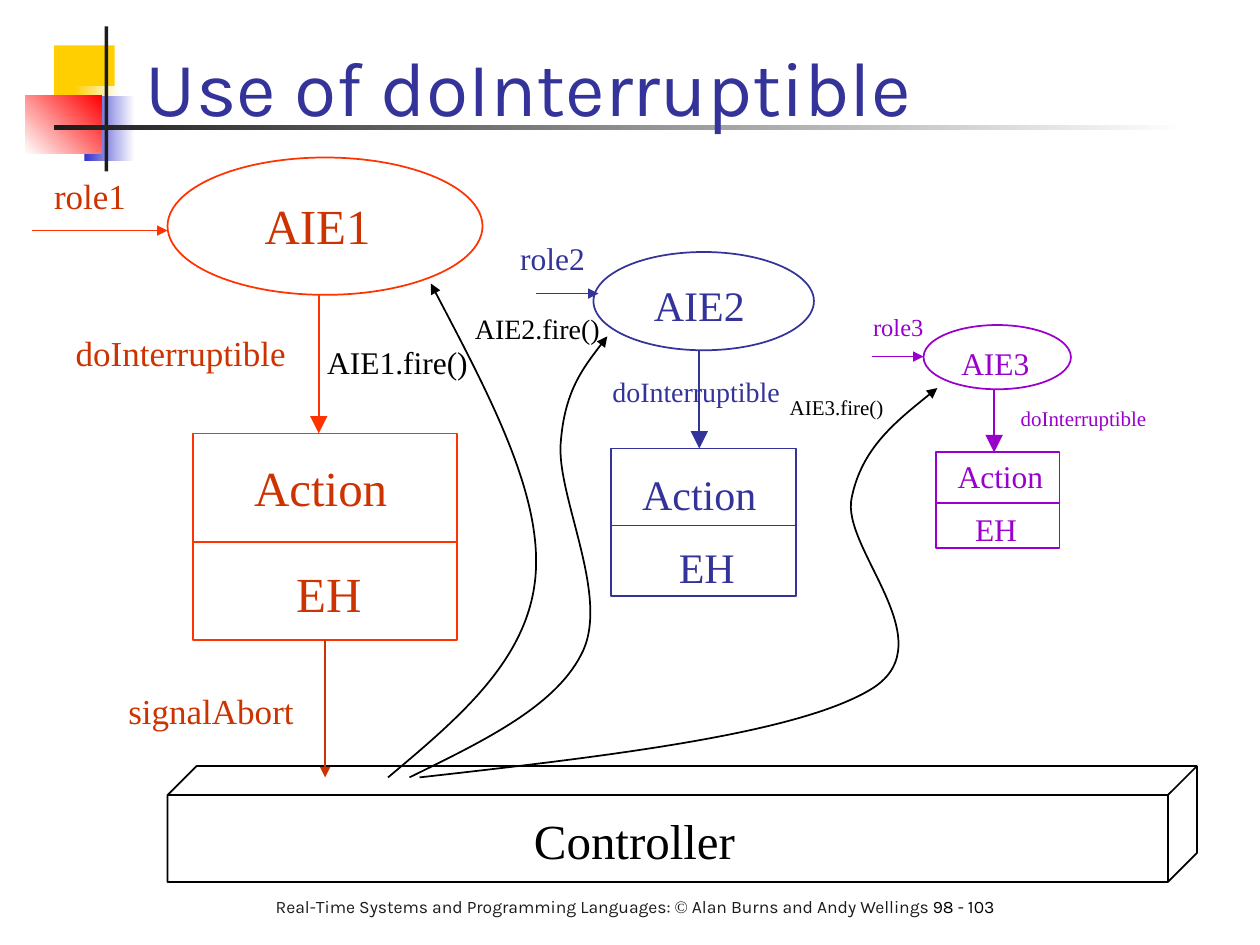
from lxml import etree
from pptx import Presentation
from pptx.dml.color import RGBColor
from pptx.enum.shapes import MSO_CONNECTOR, MSO_SHAPE
from pptx.enum.text import MSO_ANCHOR, MSO_AUTO_SIZE, PP_ALIGN
from pptx.oxml.ns import qn
from pptx.util import Inches, Pt

STRAIGHT = MSO_CONNECTOR.STRAIGHT
RECTANGLE, OVAL, CUBE = MSO_SHAPE.RECTANGLE, MSO_SHAPE.OVAL, MSO_SHAPE.CUBE
CENTER, LEFT = PP_ALIGN.CENTER, PP_ALIGN.LEFT
MIDDLE, TOP, BOTTOM = MSO_ANCHOR.MIDDLE, MSO_ANCHOR.TOP, MSO_ANCHOR.BOTTOM
FIT_SHAPE, NO_FIT = MSO_AUTO_SIZE.SHAPE_TO_FIT_TEXT, MSO_AUTO_SIZE.NONE

SERIF, SANS = "Times New Roman", "Karla"
BLACK, CHARCOAL, WHITE = "000000", "1C1C1C", "FFFFFF"
RED, ORANGE, NAVY, PURPLE = "CC3300", "FF3300", "333399", "9900CC"
LABEL_FORMAT = {"word_wrap": False, "auto_size": NO_FIT, "vertical_anchor": MIDDLE,
                "margin_left": 0, "margin_right": 0}
FOOTER_FORMAT = {"word_wrap": True, "auto_size": FIT_SHAPE, "vertical_anchor": TOP}
TITLE_FORMAT = {"word_wrap": True, "auto_size": NO_FIT, "vertical_anchor": BOTTOM}

DECOR = [
    ((0.43, 0.36, 0.48, 0.52), ["FFCF01"], 0),
    ((0.59, 0.68, 0.36, 0.52), ["FFCF01", WHITE], 0),
    ((0.67, 0.76, 0.4, 0.52), ["3333CC", WHITE], 0),
    ((0.2, 0.76, 0.61, 0.46), [WHITE, "FF0000"], 45),
    ((0.83, 0.21, 0.03, 1.15), [CHARCOAL], 0),
    ((0.43, 0.99, 9, 0.04), [CHARCOAL, WHITE], 0),
]

STATIONS = [
    {"line": ORANGE, "ink": RED, "ellipse": (1.33, 1.25, 2.5, 1.09),
     "box": (1.53, 3.44, 2.1, 1.64), "divider": 4.3, "call_x": 2.53,
     "role": (0.25, 1.33, 1.83),
     "labels": [("AIE1", (2, 1.5, 1.04, 0.57), 28),
                ("Action", (1.92, 3.58, 1.25, 0.57), 28),
                ("EH", (2.25, 4.42, 0.72, 0.57), 28),
                ("role1", (0.33, 1.33, 0.77, 0.44), 20),
                ("doInterruptible", (0.5, 2.58, 1.87, 0.44), 20)]},
    {"line": NAVY, "ink": NAVY, "ellipse": (4.71, 2, 1.75, 0.78),
     "box": (4.85, 3.56, 1.47, 1.17), "divider": 4.17, "call_x": 5.55,
     "role": (4.25, 4.75, 2.33),
     "labels": [("AIE2", (5.09, 2.17, 0.92, 0.5), 24),
                ("Action", (5, 3.67, 1.1, 0.5), 24),
                ("EH", (5.29, 4.25, 0.64, 0.5), 24),
                ("role2", (4.03, 1.85, 0.71, 0.4), 18),
                ("doInterruptible", (4.76, 2.92, 1.53, 0.37), 16)]},
    {"line": PURPLE, "ink": PURPLE, "ellipse": (7.33, 2.58, 1.17, 0.51),
     "box": (7.43, 3.59, 0.98, 0.76), "divider": 3.99, "call_x": 7.89,
     "role": (6.92, 7.33, 2.83),
     "labels": [("AIE3", (7.53, 2.68, 0.74, 0.4), 18),
                ("Action", (7.5, 3.58, 0.88, 0.4), 18),
                ("EH", (7.64, 4, 0.53, 0.4), 18),
                ("role3", (6.83, 2.42, 0.6, 0.34), 14),
                ("doInterruptible", (8, 3.17, 1.2, 0.3), 12)]},
]

FIRES = [
    [(3.08, 6.17), (3.64, 5.7), (4.19, 5.24), (4.25, 4.58),
     (4.31, 3.93), (3.86, 3.09), (3.42, 2.25)],
    [(3.25, 6.17), (3.84, 5.88), (4.43, 5.6), (4.63, 5.16), (4.83, 4.71),
     (4.42, 3.94), (4.45, 3.52), (4.48, 3.11), (4.65, 2.89), (4.82, 2.67)],
    [(3.33, 6.17), (4.85, 6), (6.36, 5.82), (6.93, 5.46), (7.5, 5.09),
     (6.67, 4.35), (6.76, 3.95), (6.84, 3.56), (7.14, 3.32), (7.44, 3.08)],
]
FIRE_LABELS = [
    ("AIE1.fire()", (2.5, 2.67, 1.31, 0.4), 18),
    ("AIE2.fire()", (3.67, 2.42, 1.19, 0.37), 16),
    ("AIE3.fire()", (6.17, 3.08, 0.94, 0.3), 12),
]


def rgb(hex_colour):
    """Return the colour for a hex string."""
    return RGBColor.from_string(hex_colour)


def inches(values):
    """Convert numbers to lengths."""
    return [Inches(value) for value in values]


def apply_format(target, values):
    """Set each named attribute on the target."""
    for name, value in values.items():
        setattr(target, name, value)


def style_line(item, colour, arrow=None):
    """Draw a one-point line, with an arrowhead of the given size at its end."""
    item.line.color.rgb = rgb(colour)
    item.line.width = Pt(1)
    if arrow:
        stroke = item._element.spPr.find(qn("a:ln"))
        etree.SubElement(stroke, qn("a:tailEnd"), type="triangle", w=arrow, len=arrow)


def add_decor(shapes, place, colours, angle):
    """Add a borderless block with a plain or graded fill."""
    block = shapes.add_shape(RECTANGLE, *inches(place))
    block.shadow.inherit = False
    block.line.fill.background()
    if len(colours) == 1:
        block.fill.solid()
        block.fill.fore_color.rgb = rgb(colours[0])
        return
    block.fill.gradient()
    block.fill.gradient_angle = angle
    for stop, colour in zip(block.fill.gradient_stops, colours):
        stop.color.rgb = rgb(colour)


def add_outline(shapes, kind, place, colour):
    """Add an unfilled preset shape."""
    outline = shapes.add_shape(kind, *inches(place))
    outline.shadow.inherit = False
    outline.fill.background()
    style_line(outline, colour)


def add_line(shapes, start, end, colour, arrow=None):
    """Add a straight line or arrow."""
    line = shapes.add_connector(STRAIGHT, *inches(start + end))
    style_line(line, colour, arrow)
    etree.SubElement(line._element.spPr, qn("a:effectLst"))


def add_curve(shapes, points):
    """Add an arrow through Bezier points: a start, then triples."""
    builder = shapes.build_freeform(*inches(points[0]))
    builder.add_line_segments([inches(point) for point in points[1:]], close=False)
    curve = builder.convert_to_shape()
    curve.shadow.inherit = False
    curve.fill.background()
    style_line(curve, BLACK, "med")
    outline = next(curve._element.iter(qn("a:path")))
    segments = outline.findall(qn("a:lnTo"))
    for first in range(0, len(segments), 3):
        bezier = etree.SubElement(outline, qn("a:cubicBezTo"))
        for segment in segments[first:first + 3]:
            bezier.append(segment[0])
            outline.remove(segment)


def add_text(shapes, place, runs, frame_format, align):
    """Add a paragraph of (text, size, font, colour) runs."""
    frame = shapes.add_textbox(*inches(place)).text_frame
    apply_format(frame, frame_format)
    paragraph = frame.paragraphs[0]
    paragraph.alignment = align
    for text, size, face, colour in runs:
        run = paragraph.add_run()
        run.text = text
        apply_format(run.font, {"size": Pt(size), "name": face})
        run.font.color.rgb = rgb(colour)


def add_label(shapes, text, place, size, colour):
    """Add a centred serif label."""
    add_text(shapes, place, [(text, size, SERIF, colour)], LABEL_FORMAT, CENTER)


def add_station(shapes, station):
    """Add an event ellipse, its action box, arrows and labels."""
    colour, call_x = station["line"], station["call_x"]
    left, top, width, _ = station["box"]
    _, event_top, _, event_height = station["ellipse"]
    add_outline(shapes, OVAL, station["ellipse"], colour)
    add_outline(shapes, RECTANGLE, station["box"], colour)
    divider = station["divider"]
    add_line(shapes, (left, divider), (left + width, divider), colour)
    add_line(shapes, (call_x, event_top + event_height), (call_x, top), colour, "lg")
    role_start, role_end, role_y = station["role"]
    add_line(shapes, (role_start, role_y), (role_end, role_y), colour, "med")
    for text, place, size in station["labels"]:
        add_label(shapes, text, place, size, station["ink"])


def main():
    """Build the slide and save it."""
    deck = Presentation()
    deck.slide_width, deck.slide_height = inches((10, 7.5))
    shapes = deck.slides.add_slide(deck.slide_layouts[6]).shapes
    for place, colours, angle in DECOR:
        add_decor(shapes, place, colours, angle)
    footer = [("Real-Time Systems and Programming Languages: ", 10, SANS, CHARCOAL),
              ("©", 10, SERIF, CHARCOAL),
              (" Alan Burns and Andy Wellings ", 10, SANS, CHARCOAL),
              ("98 - 103", 10, SANS, BLACK)]
    add_text(shapes, (2.09, 7.06, 6.06, 0.46), footer, FOOTER_FORMAT, LEFT)
    title = [("Use of doInterruptible", 44, SANS, NAVY)]
    add_text(shapes, (1.06, 0.13, 8.52, 0.97), title, TITLE_FORMAT, LEFT)
    add_outline(shapes, CUBE, (1.33, 6.08, 8.17, 0.92), BLACK)
    add_label(shapes, "Controller", (4.14, 6.38, 1.79, 0.57), 28, BLACK)
    add_station(shapes.add_group_shape().shapes, STATIONS[0])
    abort = shapes.add_group_shape().shapes
    add_label(abort, "signalAbort", (0.92, 5.42, 1.51, 0.44), 20, RED)
    add_line(abort, (2.58, 5.08), (2.58, 6.17), RED, "med")
    fires = shapes.add_group_shape().shapes
    for points in FIRES:
        add_curve(fires, points)
    for text, place, size in FIRE_LABELS:
        add_label(fires, text, place, size, BLACK)
    for station in STATIONS[1:]:
        add_station(shapes.add_group_shape().shapes, station)
    deck.save("out.pptx")


if __name__ == "__main__":
    main()
